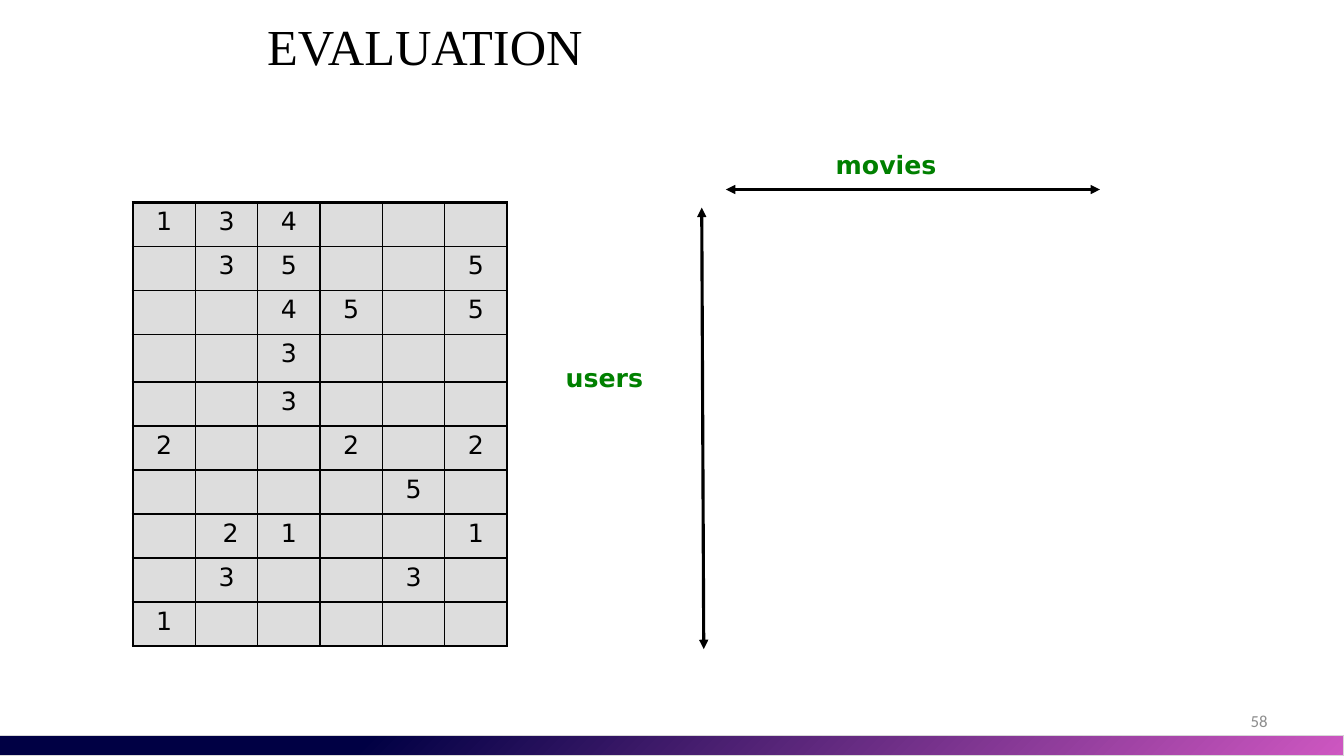
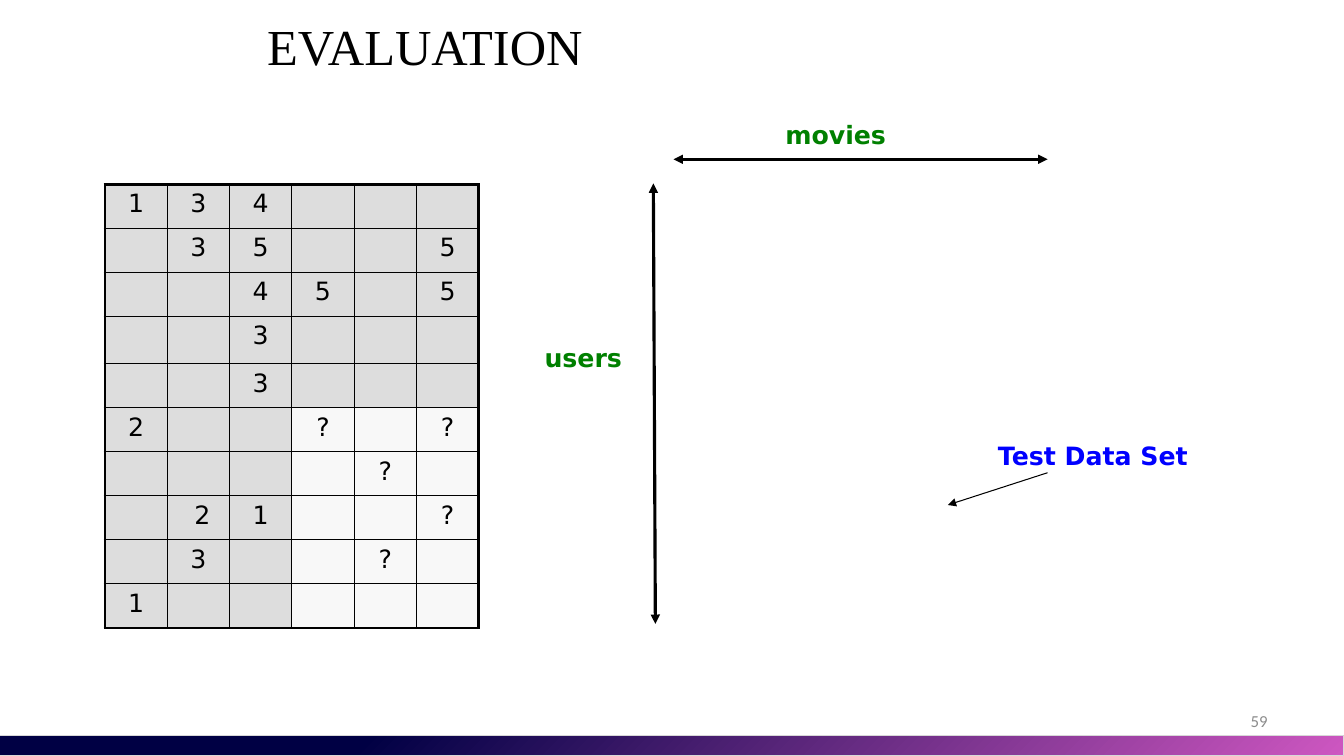
from lxml.etree import SubElement
from pptx import Presentation
from pptx.dml.color import RGBColor
from pptx.enum.shapes import MSO_CONNECTOR, MSO_SHAPE
from pptx.enum.text import MSO_ANCHOR, PP_ALIGN
from pptx.oxml.ns import qn
from pptx.util import Inches, Pt

W, H = 13.33, 7.5
BAND_H = 0.2

THEME = {
    "title": {"name": "Times New Roman", "size": 36, "color": "000000"},
    "number": {"name": "Calibri", "size": 12, "color": "8C8C8C"},
    "rating": {"name": "DejaVu Sans", "size": 18, "color": "000000"},
    "axis": {"name": "DejaVu Sans", "size": 18, "color": "008000", "bold": True},
    "callout": {"name": "DejaVu Sans", "size": 18, "color": "0000FF", "bold": True},
    "ink": "000000",
    "train": "DDDDDD",
    "test": "F8F8F8",
    "band": ((0.27, "000044"), (1, "CE57C1")),
    "band_line": "D8D8D8",
    "thin": 0.75,
    "inner": 1,
    "thick": 2.25,
}

RATINGS = [
    "134...",
    ".35..5",
    "..45.5",
    "..3...",
    "..3...",
    "2..2.2",
    "....5.",
    ".21..1",
    ".3..3.",
    "1.....",
]
ROWS, COLS = len(RATINGS), len(RATINGS[0])
TABLE_W, TABLE_H = 3.71, 4.4
TALL_ROW, TALL_H = 3, 0.47
ROW_H = (TABLE_H - TALL_H) / (ROWS - 1)
NUDGED, NUDGE = (7, 1), 0.18
TEST_ROW, TEST_COL = 5, 3

LABEL_H = 0.4
TITLE_BOX = (2.55, -0.35, 8.25, 1.59)
NUMBER_BOX = (9.56, 6.95, 3.11, LABEL_H)

SLIDES = [
    {
        "title": "EVALUATION",
        "number": 58,
        "table": (1.32, 2.01),
        "hide_test": False,
        "labels": [
            ("movies", "axis", (8.19, 1.43, 1.21, LABEL_H), False),
            ("users", "axis", (5.02, 3.55, 1.95, LABEL_H), True),
        ],
        "arrows": [
            ((6.96, 2.06), (6.98, 6.44), "thick", True),
            ((7.2, 1.88), (10.91, 1.88), "thick", True),
        ],
    },
    {
        "title": "EVALUATION",
        "number": 59,
        "table": (1.04, 1.83),
        "hide_test": True,
        "labels": [
            ("Test Data Set", "callout", (9.8, 4.32, 2.1, LABEL_H), False),
            ("users", "axis", (4.81, 3.35, 1.95, LABEL_H), True),
            ("movies", "axis", (7.69, 1.13, 1.21, LABEL_H), False),
        ],
        "arrows": [
            ((6.48, 1.82), (6.5, 6.19), "thick", True),
            ((6.68, 1.58), (10.39, 1.58), "thick", True),
            ((10.39, 4.69), (9.4, 5.01), "thin", False),
        ],
    },
]


def rgb(value):
    return RGBColor.from_string(value)


def write(tf, text, style, align=PP_ALIGN.LEFT):
    p = tf.paragraphs[0]
    p.alignment = align
    r = p.add_run()
    r.text = text
    for key, value in THEME[style].items():
        if key == "color":
            r.font.color.rgb = rgb(value)
        else:
            setattr(r.font, key, Pt(value) if key == "size" else value)


def place(sp, box):
    for key, value in zip(("left", "top", "width", "height"), box):
        setattr(sp, key, Inches(value))


def add_title(slide, text):
    sp = slide.shapes.title
    place(sp, TITLE_BOX)
    sp.text_frame.vertical_anchor = MSO_ANCHOR.MIDDLE
    write(sp.text_frame, text, "title")


def add_label(slide, text, style, box, wrap=True, align=PP_ALIGN.LEFT, anchor=MSO_ANCHOR.TOP):
    tf = slide.shapes.add_textbox(*map(Inches, box)).text_frame
    tf.word_wrap = wrap
    tf.vertical_anchor = anchor
    write(tf, text, style, align)


def add_arrow(slide, start, end, weight, double):
    points = map(Inches, (*start, *end))
    cx = slide.shapes.add_connector(MSO_CONNECTOR.STRAIGHT, *points)
    cx.line.color.rgb = rgb(THEME["ink"])
    cx.line.width = Pt(THEME[weight])
    sp_pr = cx.element.spPr
    ln = sp_pr.find(qn("a:ln"))
    for tag in ("a:headEnd", "a:tailEnd") if double else ("a:tailEnd",):
        SubElement(ln, qn(tag), type="triangle")
    SubElement(sp_pr, qn("a:effectLst"))


def set_borders(cell, row, col):
    tc_pr = cell._tc.get_or_add_tcPr()
    outer = {"L": col == 0, "R": col == COLS - 1, "T": row == 0, "B": row == ROWS - 1}
    for side, is_outer in outer.items():
        width = Pt(THEME["thick" if is_outer else "inner"])
        ln = SubElement(tc_pr, qn(f"a:ln{side}"), w=str(width))
        fill = SubElement(ln, qn("a:solidFill"))
        SubElement(fill, qn("a:srgbClr"), val=THEME["ink"])


def add_ratings(slide, origin, hide_test):
    box = (*origin, TABLE_W, TABLE_H)
    table = slide.shapes.add_table(ROWS, COLS, *map(Inches, box)).table
    table.first_row = table.horz_banding = False
    for column in table.columns:
        column.width = Inches(TABLE_W / COLS)
    for i, ratings in enumerate(RATINGS):
        table.rows[i].height = Inches(TALL_H if i == TALL_ROW else ROW_H)
        for j, rating in enumerate(ratings):
            cell = table.cell(i, j)
            hidden = hide_test and i >= TEST_ROW and j >= TEST_COL
            set_borders(cell, i, j)
            cell.fill.solid()
            cell.fill.fore_color.rgb = rgb(THEME["test" if hidden else "train"])
            if (i, j) == NUDGED:
                cell.margin_left = Inches(NUDGE)
            if rating != ".":
                write(cell.text_frame, "?" if hidden else rating, "rating", PP_ALIGN.CENTER)


def add_band(slide):
    box = (0, H - BAND_H, W, BAND_H)
    sp = slide.shapes.add_shape(MSO_SHAPE.RECTANGLE, *map(Inches, box))
    sp.shadow.inherit = False
    sp.fill.gradient()
    sp.fill.gradient_angle = 315
    for stop, (position, color) in zip(sp.fill.gradient_stops, THEME["band"]):
        stop.position = position
        stop.color.rgb = rgb(color)
    sp.line.color.rgb = rgb(THEME["band_line"])
    sp.line.width = Pt(THEME["thin"])
    sp.element.nvSpPr.cNvPr.set("id", "20")
    slide.slide_layout.shapes.element.insert(2, sp.element)


def main():
    prs = Presentation()
    prs.slide_width, prs.slide_height = Inches(W), Inches(H)
    for content in SLIDES:
        slide = prs.slides.add_slide(prs.slide_layouts[5])
        add_title(slide, content["title"])
        add_label(slide, str(content["number"]), "number", NUMBER_BOX,
                  align=PP_ALIGN.RIGHT, anchor=MSO_ANCHOR.MIDDLE)
        add_ratings(slide, content["table"], content["hide_test"])
        for text, style, box, centred in content["labels"]:
            add_label(slide, text, style, box, wrap=centred,
                      align=PP_ALIGN.CENTER if centred else PP_ALIGN.LEFT)
        for arrow in content["arrows"]:
            add_arrow(slide, *arrow)
    add_band(prs.slides[0])
    prs.save("out.pptx")


if __name__ == "__main__":
    main()
